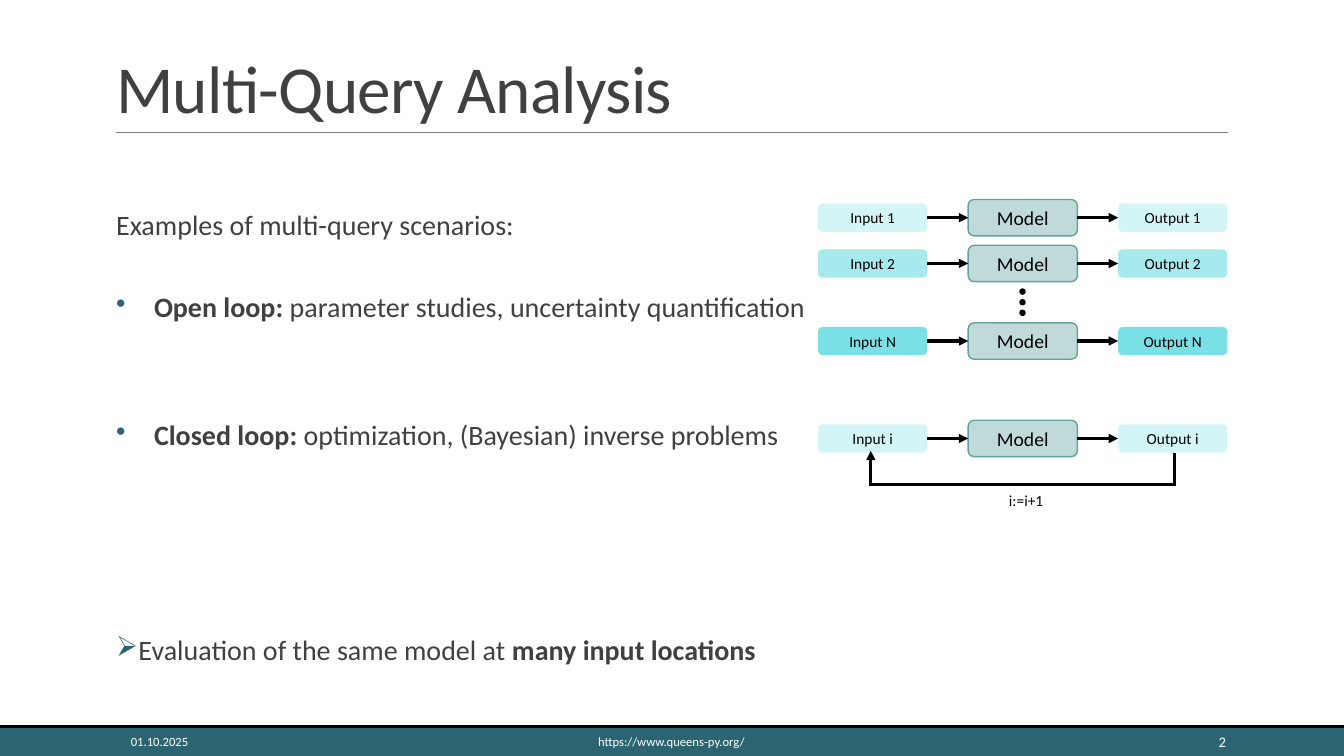
from dataclasses import dataclass

from lxml.etree import SubElement
from pptx import Presentation
from pptx.dml.color import RGBColor
from pptx.enum.shapes import MSO_CONNECTOR, MSO_SHAPE
from pptx.enum.text import MSO_ANCHOR, PP_ALIGN
from pptx.oxml.ns import qn
from pptx.util import Pt

FONT = "Calibri"
BLACK = RGBColor(0x00, 0x00, 0x00)
WHITE = RGBColor(0xFF, 0xFF, 0xFF)
GRAY = RGBColor(0x80, 0x80, 0x80)
TEXT = RGBColor(0x40, 0x40, 0x40)
PETROL = RGBColor(0x2C, 0x65, 0x71)
MODEL_FILL = RGBColor(0xC0, 0xDA, 0xD9)
MODEL_LINE = RGBColor(0x62, 0xA3, 0x9F)
LIGHT_CYAN = RGBColor(0xD3, 0xF5, 0xF6)
MEDIUM_CYAN = RGBColor(0xA6, 0xEA, 0xEE)
STRONG_CYAN = RGBColor(0x7A, 0xE0, 0xE5)

SLIDE_WIDTH, SLIDE_HEIGHT = 960, 540
MARGIN, CONTENT_WIDTH = 83, 793.5
FOOTER_TOP, FOOTER_HEIGHT = 519.1, 20.9
BOX_WIDTH, BOX_HEIGHT, MODEL_HEIGHT = 78, 20.2, 26
INPUT_LEFT, MODEL_LEFT, OUTPUT_LEFT = 584.4, 691.6, 798.7
DOT_SIZE = 4.6


@dataclass(frozen=True)
class Evaluation:
    index: str
    center: float
    fill: RGBColor


@dataclass(frozen=True)
class Statement:
    runs: tuple[tuple[str, bool], ...]
    space_before: float = 0
    bullet: str = ""
    indent: float = 0


@dataclass(frozen=True)
class FooterItem:
    text: str
    left: float
    width: float
    size: float
    alignment: PP_ALIGN


EVALUATIONS = (
    Evaluation("1", 155.5, LIGHT_CYAN),
    Evaluation("2", 188.2, MEDIUM_CYAN),
    Evaluation("N", 243.6, STRONG_CYAN),
    Evaluation("i", 313.2, LIGHT_CYAN),
)
SCENARIOS = (
    Statement((("Examples of multi-query scenarios:", False),)),
    Statement((("Open loop:", True),
               (" parameter studies, uncertainty quantification", False)), 37.3, "•", 27),
    Statement((("Closed loop:", True),
               (" optimization, (Bayesian) inverse problems", False)), 69.4, "•", 27),
)
CONCLUSION = Statement((("Evaluation of the same model at ", False),
                        ("many input locations", True)), 0, "➢", 7.2)
FOOTER = (
    FooterItem("01.10.2025", 86.4, 119.5, 9, PP_ALIGN.LEFT),
    FooterItem("https://www.queens-py.org/", 193, 573.1, 9, PP_ALIGN.CENTER),
    FooterItem("2", 779.8, 103, 10.5, PP_ALIGN.RIGHT),
)


def write(paragraph, text: str, *, size: float, color: RGBColor,
          bold: bool = False, spacing: int = 0) -> None:
    run = paragraph.add_run()
    run.text = text
    run.font.name = FONT
    run.font.size = Pt(size)
    run.font.bold = bold
    run.font.color.rgb = color
    if spacing:
        run.font._element.set("spc", str(spacing))


def add_text_box(slide, left: float, top: float, width: float, height: float, *,
                 anchor: MSO_ANCHOR = MSO_ANCHOR.TOP, side_inset: float = 0):
    frame = slide.shapes.add_textbox(Pt(left), Pt(top), Pt(width), Pt(height)).text_frame
    frame.word_wrap = True
    frame.vertical_anchor = anchor
    frame.margin_left = frame.margin_right = Pt(side_inset)
    return frame


def add_shape(slide, kind: MSO_SHAPE, left: float, top: float, width: float, height: float, *,
              fill: RGBColor, line: RGBColor | None = None):
    shape = slide.shapes.add_shape(kind, Pt(left), Pt(top), Pt(width), Pt(height))
    shape.shadow.inherit = False
    shape.fill.solid()
    shape.fill.fore_color.rgb = fill
    if line is None:
        shape.line.fill.background()
    else:
        shape.line.color.rgb = line
        shape.line.width = Pt(1)
    return shape


def add_line(slide, start: tuple[float, float], end: tuple[float, float], *,
             color: RGBColor = BLACK, width: float = 2.25, arrow: bool = False) -> None:
    connector = slide.shapes.add_connector(
        MSO_CONNECTOR.STRAIGHT, Pt(start[0]), Pt(start[1]), Pt(end[0]), Pt(end[1]))
    connector.line.color.rgb = color
    connector.line.width = Pt(width)
    if arrow:
        SubElement(connector.line._get_or_add_ln(), qn("a:tailEnd"), type="triangle")
    SubElement(connector._element.spPr, qn("a:effectLst"))


def add_node(slide, text: str, left: float, center: float, height: float, *,
             size: float, fill: RGBColor, line: RGBColor | None = None) -> None:
    node = add_shape(slide, MSO_SHAPE.ROUNDED_RECTANGLE, left, center - height / 2,
                     BOX_WIDTH, height, fill=fill, line=line)
    frame = node.text_frame
    frame.vertical_anchor = MSO_ANCHOR.MIDDLE
    frame.paragraphs[0].alignment = PP_ALIGN.CENTER
    write(frame.paragraphs[0], text, size=size, color=BLACK)


def add_evaluation(slide, evaluation: Evaluation) -> None:
    center = evaluation.center
    for name, left in (("Input", INPUT_LEFT), ("Output", OUTPUT_LEFT)):
        add_node(slide, f"{name} {evaluation.index}", left, center, BOX_HEIGHT,
                 size=11, fill=evaluation.fill)
    add_node(slide, "Model", MODEL_LEFT, center, MODEL_HEIGHT,
             size=14, fill=MODEL_FILL, line=MODEL_LINE)
    for source, target in ((INPUT_LEFT, MODEL_LEFT), (MODEL_LEFT, OUTPUT_LEFT)):
        add_line(slide, (source + BOX_WIDTH, center), (target, center), arrow=True)


def add_feedback(slide) -> None:
    left, right, bottom = 622, 839, 346.2
    add_line(slide, (right, 323.3), (right, bottom + 1.1))
    add_line(slide, (right, bottom), (left - 1.1, bottom))
    add_line(slide, (left, bottom), (left, 322), arrow=True)
    frame = add_text_box(slide, 694, 347, BOX_WIDTH, BOX_HEIGHT, anchor=MSO_ANCHOR.MIDDLE)
    frame.paragraphs[0].alignment = PP_ALIGN.CENTER
    write(frame.paragraphs[0], "i:=i+1", size=11, color=BLACK)


def write_statement(paragraph, statement: Statement) -> None:
    paragraph.line_spacing = 0.9
    paragraph.space_before = Pt(statement.space_before)
    if statement.bullet:
        properties = paragraph._element.get_or_add_pPr()
        properties.set("marL", str(Pt(statement.indent)))
        properties.set("indent", str(-Pt(statement.indent)))
        bullet_color = SubElement(properties, qn("a:buClr"))
        SubElement(bullet_color, qn("a:srgbClr"), val=str(PETROL))
        SubElement(properties, qn("a:buChar"), char=statement.bullet)
    for text, bold in statement.runs:
        write(paragraph, text, size=20, color=TEXT, bold=bold)


def add_statements(slide, top: float, height: float, statements: tuple[Statement, ...]) -> None:
    frame = add_text_box(slide, MARGIN, top, CONTENT_WIDTH, height)
    for number, statement in enumerate(statements):
        paragraph = frame.add_paragraph() if number else frame.paragraphs[0]
        write_statement(paragraph, statement)


def main() -> None:
    presentation = Presentation()
    presentation.slide_width = Pt(SLIDE_WIDTH)
    presentation.slide_height = Pt(SLIDE_HEIGHT)
    slide = presentation.slides.add_slide(presentation.slide_layouts[6])

    add_shape(slide, MSO_SHAPE.RECTANGLE, 0, FOOTER_TOP, SLIDE_WIDTH, FOOTER_HEIGHT, fill=PETROL)
    add_line(slide, (0, FOOTER_TOP), (SLIDE_WIDTH, FOOTER_TOP))
    add_line(slide, (MARGIN, 94.4), (877, 94.4), color=GRAY, width=0.5)

    title = add_text_box(slide, MARGIN, 27.4, CONTENT_WIDTH, 67, anchor=MSO_ANCHOR.BOTTOM)
    title.paragraphs[0].line_spacing = 0.85
    write(title.paragraphs[0], "Multi-Query Analysis", size=48, color=TEXT, spacing=-50)

    add_statements(slide, 147.2, 190, SCENARIOS)
    add_statements(slide, 450.7, 29.5, (CONCLUSION,))

    for evaluation in EVALUATIONS:
        add_evaluation(slide, evaluation)
    for number in range(3):
        add_shape(slide, MSO_SHAPE.OVAL, 728.1, 206 + 7.6 * number, DOT_SIZE, DOT_SIZE, fill=BLACK)
    add_feedback(slide)

    for item in FOOTER:
        frame = add_text_box(slide, item.left, FOOTER_TOP, item.width, FOOTER_HEIGHT,
                             anchor=MSO_ANCHOR.MIDDLE, side_inset=7.2)
        frame.paragraphs[0].alignment = item.alignment
        write(frame.paragraphs[0], item.text, size=item.size, color=WHITE)

    presentation.save("out.pptx")


if __name__ == "__main__":
    main()
